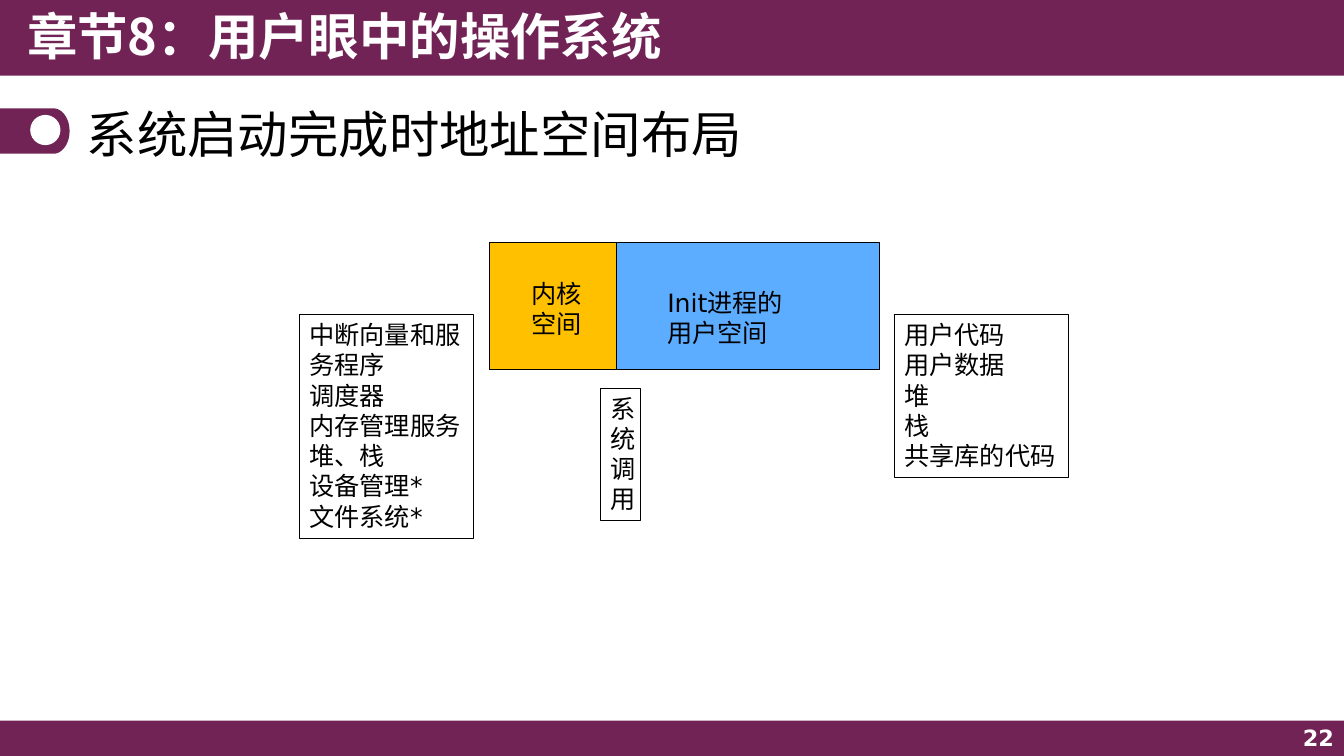
from dataclasses import dataclass
from math import cos, pi, sin

from lxml import etree
from pptx import Presentation
from pptx.dml.color import RGBColor
from pptx.enum.shapes import MSO_SHAPE as Shape
from pptx.enum.text import MSO_ANCHOR as Anchor, MSO_AUTO_SIZE as AutoSize, PP_ALIGN as Align
from pptx.oxml.ns import qn
from pptx.util import Inches, Pt


@dataclass(frozen=True)
class Theme:
    plum: str = "712355"
    white: str = "FFFFFF"
    black: str = "000000"
    amber: str = "FFC000"
    blue: str = "5CADFF"
    heading_font: str = "Noto Sans CJK SC"
    body_font: str = "DejaVu Sans"
    heading: int = 36
    body: int = 18
    number: int = 16
    outline: float = 0.75


theme = Theme()


def paint(shape, fill=None, line=None):
    shape.shadow.inherit = False
    if fill:
        shape.fill.solid()
        shape.fill.fore_color.rgb = RGBColor.from_string(fill)
    else:
        shape.fill.background()
    if line:
        shape.line.color.rgb = RGBColor.from_string(line)
        shape.line.width = Pt(theme.outline)
    else:
        shape.line.fill.background()


def write(shape, lines, size=theme.body, color=theme.black, font=theme.body_font,
          bold=False, align=Align.LEFT, anchor=Anchor.TOP, fit=AutoSize.NONE):
    frame = shape.text_frame
    frame.word_wrap = True
    frame.auto_size = fit
    frame.vertical_anchor = anchor
    for index, line in enumerate(lines):
        para = frame.add_paragraph() if index else frame.paragraphs[0]
        para.alignment = align
        span = para.add_run()
        span.text = line
        span.font.name = font
        span.font.size = Pt(size)
        span.font.bold = bold
        span.font.color.rgb = RGBColor.from_string(color)
        east_asian = etree.SubElement(span.font._element, qn("a:ea"))
        east_asian.set("typeface", theme.heading_font)


deck = Presentation()
deck.slide_width, deck.slide_height = Inches(13.33), Inches(7.5)
page = deck.slides.add_slide(deck.slide_layouts[5])
shapes = page.shapes

# Header and footer bars
for left, top, width, height in [(0, 7.15, 13.33, 0.35), (0, 0, 13.33, 0.75)]:
    bar = shapes.add_shape(Shape.RECTANGLE, Inches(left), Inches(top), Inches(width), Inches(height))
    paint(bar, theme.plum)

# Round-ended tab with a white dot
cap_left, cap_width, tab_middle, tab_half = 0.53, 0.16, 1.3, 0.225
angles = [-pi / 2 + pi * step / 24 for step in range(25)]
cap = [(Inches(cap_left + cap_width * cos(angle)), Inches(tab_middle + tab_half * sin(angle)))
       for angle in angles]
outline = shapes.build_freeform(0, Inches(tab_middle - tab_half))
outline.add_line_segments(cap + [(0, Inches(tab_middle + tab_half))], close=True)
paint(outline.convert_to_shape(), theme.plum)
dot = shapes.add_shape(Shape.OVAL, Inches(0.3), Inches(1.14), Inches(0.3), Inches(0.3))
paint(dot, theme.white)

# Chapter name, page number and title
chapter = shapes.add_textbox(Inches(0.17), Inches(0), Inches(7.6), Inches(0.77))
write(chapter, ["章节8：用户眼中的操作系统"], theme.heading, theme.white, theme.heading_font, bold=True)
number = shapes.add_textbox(Inches(10.33), Inches(7.14), Inches(3), Inches(0.36))
write(number, ["22"], theme.number, theme.white, bold=True, align=Align.RIGHT, anchor=Anchor.MIDDLE)
title = shapes.title
title.left, title.top, title.width, title.height = Inches(0.76), Inches(0.95), Inches(11.81), Inches(0.74)
write(title, ["系统启动完成时地址空间布局"], theme.heading, font=theme.heading_font, anchor=Anchor.MIDDLE)

# Address space: kernel part over the whole range
for width, color in [(3.86, theme.blue), (1.26, theme.amber)]:
    space = shapes.add_shape(Shape.RECTANGLE, Inches(4.86), Inches(2.41), Inches(width), Inches(1.26))
    paint(space, color, theme.black)

for left, top, width, lines in [
    (6.52, 2.8, 1.93, ["Init进程的", "用户空间"]),
    (5.17, 2.71, 1.01, ["内核", "空间"]),
]:
    label = shapes.add_textbox(Inches(left), Inches(top), Inches(width), Inches(0.71))
    write(label, lines, fit=AutoSize.SHAPE_TO_FIT_TEXT)

# Outlined lists of contents
for left, top, width, height, lines in [
    (2.97, 3.12, 1.73, 2.22,
     ["中断向量和服务程序", "调度器", "内存管理服务", "堆、栈", "设备管理*", "文件系统*"]),
    (8.87, 3.12, 1.73, 1.62, ["用户代码", "用户数据", "堆", "栈", "共享库的代码"]),
    (5.96, 3.85, 0.39, 1.31, ["系统调用"]),
]:
    box = shapes.add_shape(Shape.RECTANGLE, Inches(left), Inches(top), Inches(width), Inches(height))
    paint(box, line=theme.black)
    write(box, lines, fit=AutoSize.SHAPE_TO_FIT_TEXT)

deck.save("out.pptx")
